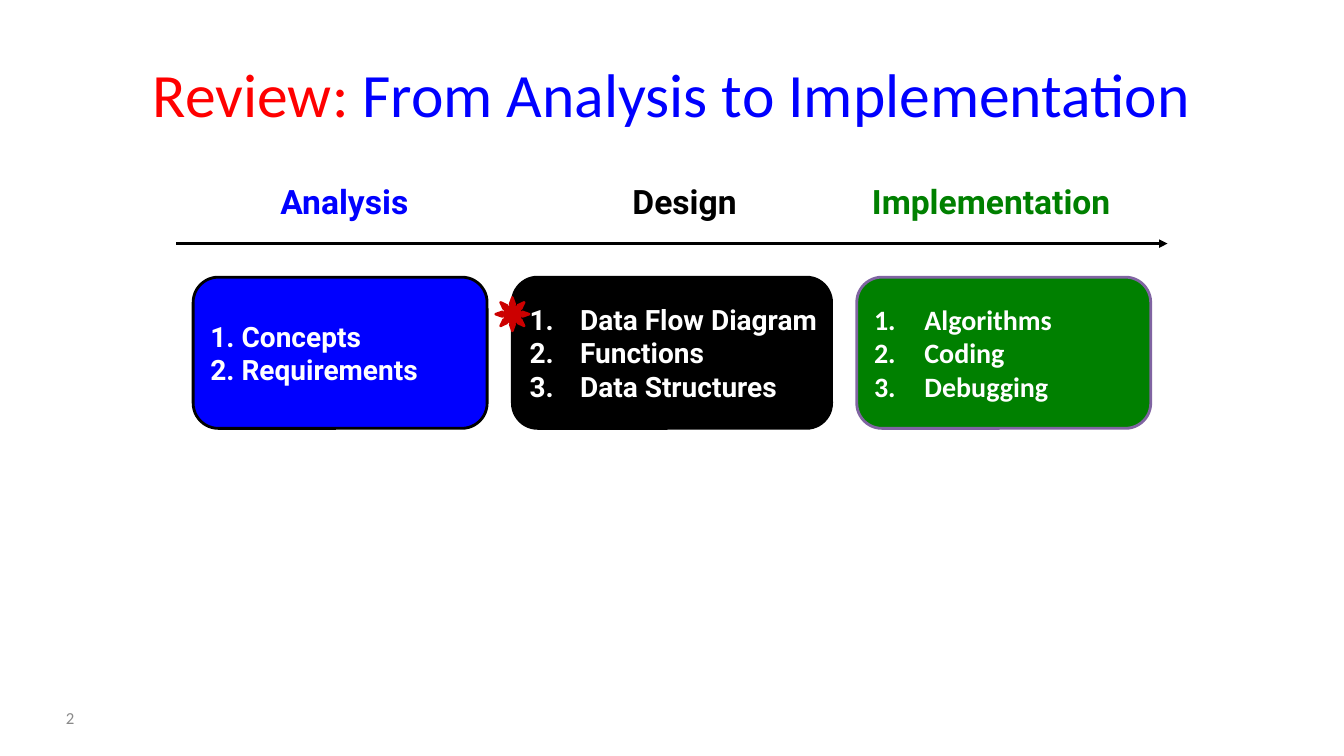
import dataclasses

import lxml.etree
import pptx
import pptx.dml.color
import pptx.enum.shapes
import pptx.enum.text
import pptx.oxml.ns
import pptx.util

Pt = pptx.util.Pt
ALIGN = pptx.enum.text.PP_ALIGN
ANCHOR = pptx.enum.text.MSO_ANCHOR
SHAPES = pptx.enum.shapes.MSO_SHAPE


@dataclasses.dataclass(frozen=True)
class Theme:
    blue: str = "0000FF"
    red: str = "FF0000"
    black: str = "000000"
    green: str = "008000"
    purple: str = "8064A2"
    white: str = "FFFFFF"
    gray: str = "898989"
    marker: str = "CC0000"
    body_font: str = "Calibri"
    label_font: str = "Roboto"
    title_size: int = 44
    heading_size: int = 24
    list_size: int = 20
    number_size: int = 12


THEME = Theme()


def color(value):
    return pptx.dml.color.RGBColor.from_string(value)


def apply_format(target, values):
    for name, value in values.items():
        setattr(target, name, value)


def add_child(parent, tag, **attributes):
    return lxml.etree.SubElement(parent, pptx.oxml.ns.qn(tag), attributes)


def write_run(paragraph, text, fill, **font):
    run = paragraph.add_run()
    run.text = text
    apply_format(run.font, font)
    run.font.color.rgb = color(fill)


def add_text(slide, box, runs, align, anchor, **font):
    shape = slide.shapes.add_textbox(*map(Pt, box))
    apply_format(shape.text_frame, {"word_wrap": True, "vertical_anchor": anchor})
    paragraph = shape.text_frame.paragraphs[0]
    paragraph.alignment = align
    for text, fill in runs:
        write_run(paragraph, text, fill, **font)


def add_filled_shape(slide, kind, box, fill, line, width):
    shape = slide.shapes.add_shape(kind, *map(Pt, box))
    shape.shadow.inherit = False
    shape.fill.solid()
    shape.fill.fore_color.rgb = color(fill)
    shape.line.color.rgb = color(line)
    shape.line.width = Pt(width)
    return shape


def add_title(slide, box):
    runs = [("Review: ", THEME.red), ("From Analysis to Implementation", THEME.blue)]
    add_text(slide, box, runs, ALIGN.CENTER, ANCHOR.MIDDLE,
             name=THEME.body_font, size=Pt(THEME.title_size))


def add_slide_number(slide, box):
    add_text(slide, box, [("2", THEME.gray)], ALIGN.LEFT, ANCHOR.MIDDLE,
             name=THEME.body_font, size=Pt(THEME.number_size))


def add_heading(slide, box, text, fill):
    add_text(slide, box, [(text, fill)], ALIGN.CENTER, ANCHOR.TOP,
             name=THEME.label_font, size=Pt(THEME.heading_size), bold=True)


def add_card(slide, box, items, fill, line, font_name, numbered):
    card = add_filled_shape(slide, SHAPES.ROUNDED_RECTANGLE, box, fill, line, 2)
    frame = card.text_frame
    apply_format(frame, {"word_wrap": False, "vertical_anchor": ANCHOR.MIDDLE})
    for index, item in enumerate(items):
        paragraph = frame.add_paragraph() if index else frame.paragraphs[0]
        paragraph.alignment = ALIGN.LEFT
        if numbered:
            properties = paragraph._p.get_or_add_pPr()
            properties.set("marL", str(Pt(36)))
            properties.set("indent", str(-Pt(36)))
            add_child(properties, "a:buFont", typeface="+mj-lt")
            add_child(properties, "a:buAutoNum", type="arabicPeriod")
        write_run(paragraph, item, THEME.white,
                  name=font_name, size=Pt(THEME.list_size), bold=True)


def add_timeline(slide, left, top, width):
    arrow = slide.shapes.add_connector(
        pptx.enum.shapes.MSO_CONNECTOR.STRAIGHT,
        Pt(left), Pt(top), Pt(left + width), Pt(top))
    arrow.line.color.rgb = color(THEME.black)
    arrow.line.width = Pt(2)
    add_child(arrow.line._get_or_add_ln(), "a:tailEnd", type="triangle")
    add_child(arrow._element.spPr, "a:effectLst")


def add_process(slide, box):
    left, top, width, height = box
    phases = [
        ("Analysis", THEME.blue, THEME.black, THEME.label_font, False,
         12, 210, 120, ["1. Concepts", "2. Requirements"]),
        ("Design", THEME.black, THEME.black, THEME.label_font, True,
         240, 228, 363, ["Data Flow Diagram", "Functions", "Data Structures"]),
        ("Implementation", THEME.green, THEME.purple, THEME.body_font, True,
         486, 210, 582, ["Algorithms", "Coding", "Debugging"]),
    ]
    heading_width = 216
    add_timeline(slide, left, top + 48, width)
    for name, fill, line, font_name, numbered, offset, card_width, center, items in phases:
        add_heading(slide, (left + center - heading_width / 2, top, heading_width, 36),
                    name, fill)
        add_card(slide, (left + offset, top + 72, card_width, height - 72),
                 items, fill, line, font_name, numbered)
    add_filled_shape(slide, SHAPES.SUN, (left + 228, top + 86.4, 24, 24),
                     THEME.marker, THEME.marker, 1.75)


def main():
    presentation = pptx.Presentation()
    apply_format(presentation, {"slide_width": Pt(960), "slide_height": Pt(540)})
    slide = presentation.slides.add_slide(presentation.slide_layouts[6])
    add_title(slide, (48, 21.6, 864, 90))
    add_process(slide, (126, 126, 708, 180))
    add_slide_number(slide, (40, 498, 104, 29))
    presentation.save("out.pptx")


if __name__ == "__main__":
    main()
